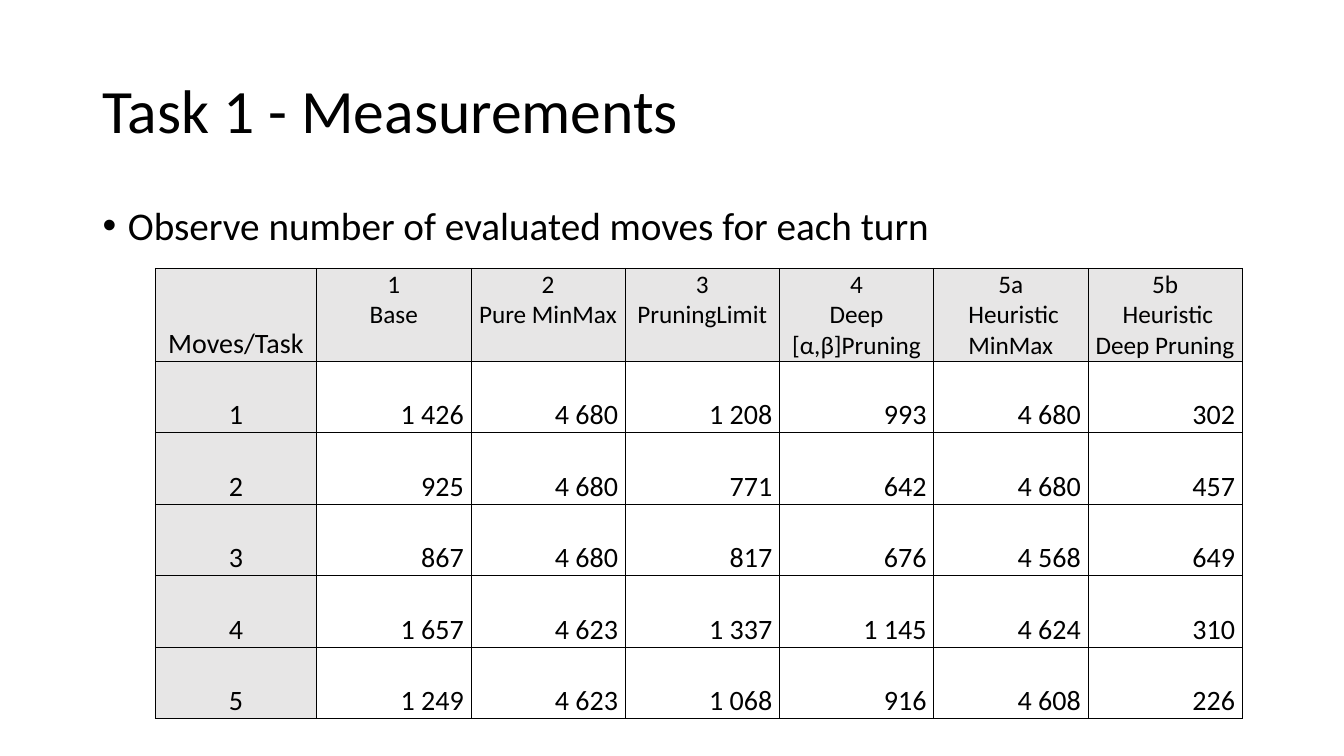
from pptx import Presentation
from pptx.dml.color import RGBColor
from pptx.enum.text import MSO_ANCHOR as Anchor, PP_ALIGN as Align
from pptx.oxml import parse_xml
from pptx.oxml.ns import nsdecls
from pptx.util import Inches, Pt

BLACK, GREY = "000000", "E7E6E6"
HEADERS = ["Moves/Task", "1\nBase", "2\nPure MinMax", "3\nPruningLimit",
           "4\nDeep [α,β]Pruning", "5a\n Heuristic MinMax",
           "5b\n Heuristic Deep Pruning"]
MOVES = [
    ["1", "1 426", "4 680", "1 208", "993", "4 680", "302"],
    ["2", "925", "4 680", "771", "642", "4 680", "457"],
    ["3", "867", "4 680", "817", "676", "4 568", "649"],
    ["4", "1 657", "4 623", "1 337", "1 145", "4 624", "310"],
    ["5", "1 249", "4 623", "1 068", "916", "4 608", "226"],
]


def rgb(color):
    return RGBColor.from_string(color)


def write(tf, text, size=20, align=Align.LEFT, spacing=None, bullet=False):
    """Fill a text frame with one paragraph for each line of text."""
    tf.word_wrap = True
    for i, line in enumerate(text.split("\n")):
        p = tf.paragraphs[0] if i == 0 else tf.add_paragraph()
        p.alignment = align
        p.line_spacing = spacing
        if bullet:
            pPr = p._p.get_or_add_pPr()
            pPr.set("marL", str(Inches(0.25)))
            pPr.set("indent", str(Inches(-0.25)))
            pPr.append(parse_xml(f'<a:buFont {nsdecls("a")} typeface="Arial"/>'))
            pPr.append(parse_xml(f'<a:buChar {nsdecls("a")} char="•"/>'))
        r = p.add_run()
        r.text = line
        r.font.name = "Calibri"
        r.font.size = Pt(size)
        r.font.color.rgb = rgb(BLACK)


prs = Presentation()
prs.slide_width, prs.slide_height = Inches(13.33), Inches(7.5)
s = prs.slides.add_slide(prs.slide_layouts[6])

title = s.shapes.add_textbox(Inches(0.92), Inches(0.4), Inches(11.5), Inches(1.45))
title.text_frame.vertical_anchor = Anchor.MIDDLE
write(title.text_frame, "Task 1 - Measurements", size=44, spacing=0.9)

body = s.shapes.add_textbox(Inches(0.92), Inches(2), Inches(11.86), Inches(4.76))
write(body.text_frame, "Observe number of evaluated moves for each turn",
      size=28, spacing=0.9, bullet=True)

rows = [HEADERS] + MOVES
widths = [1.6] + [1.53] * 6
heights = [0.92] + [0.71] * 5
table = s.shapes.add_table(len(rows), len(widths), Inches(1.54), Inches(2.66),
                           Inches(sum(widths)), Inches(sum(heights))).table
table.first_row = table.horz_banding = False
for column, width in zip(table.columns, widths):
    column.width = Inches(width)
for row, height in zip(table.rows, heights):
    row.height = Inches(height)

for i, row in enumerate(rows):
    for j, text in enumerate(row):
        cell = table.cell(i, j)
        task_header = i == 0 and j > 0
        number = i > 0 and j > 0
        cell.margin_left = cell.margin_top = Inches(0.01)
        cell.margin_right = Inches(0.07 if number else 0.01)
        cell.margin_bottom = 0
        cell.vertical_anchor = Anchor.TOP if task_header else Anchor.BOTTOM
        write(cell.text_frame, text, size=18 if task_header else 20,
              align=Align.RIGHT if number else Align.CENTER)

        tcPr = cell._tc.get_or_add_tcPr()
        for side in ("lnL", "lnR", "lnT", "lnB"):
            tcPr.append(parse_xml(
                f'<a:{side} {nsdecls("a")} w="{Pt(0.5)}"><a:solidFill>'
                f'<a:srgbClr val="{BLACK}"/></a:solidFill></a:{side}>'))
        if number:
            cell.fill.background()
        else:
            cell.fill.solid()
            cell.fill.fore_color.rgb = rgb(GREY)

prs.save("out.pptx")
